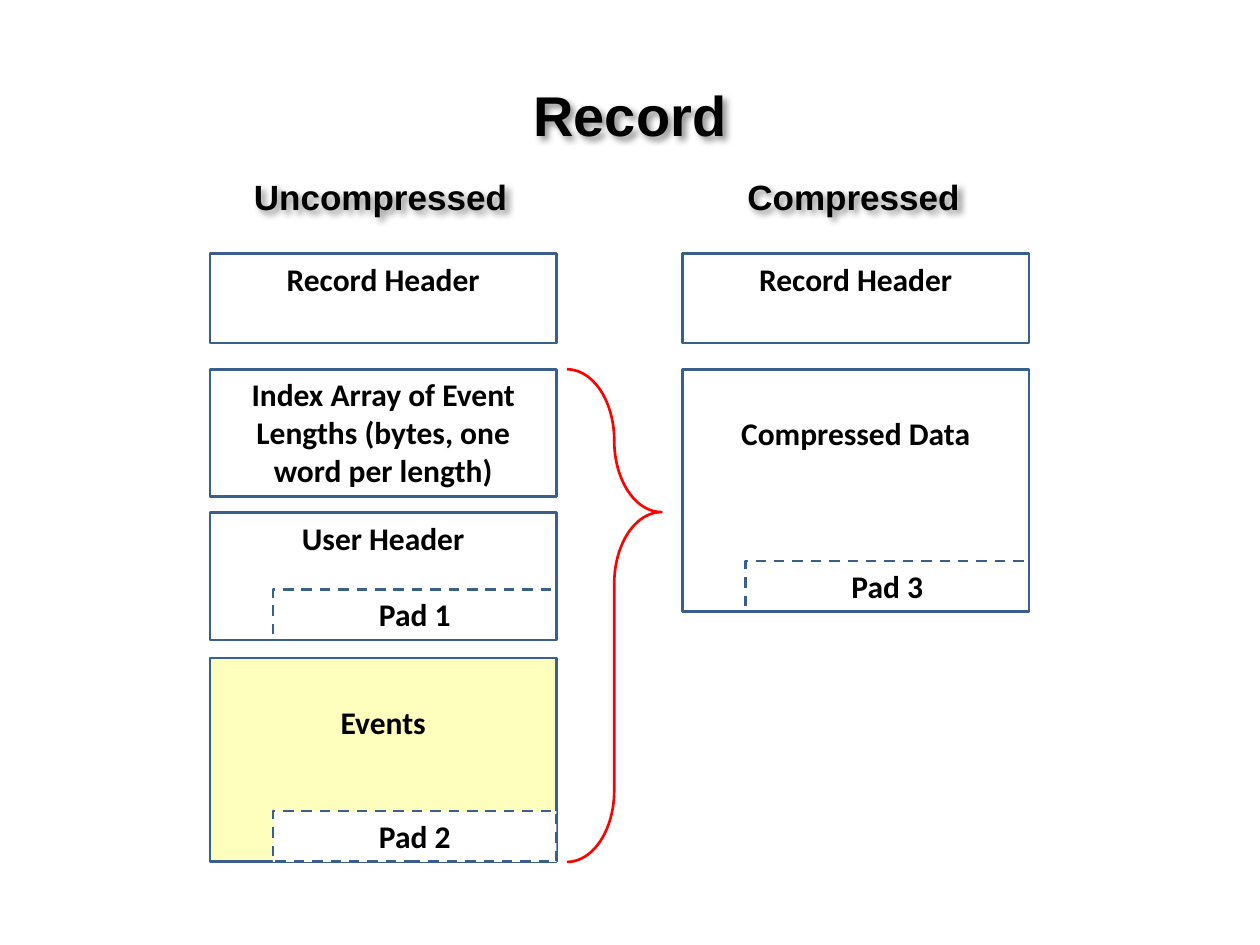
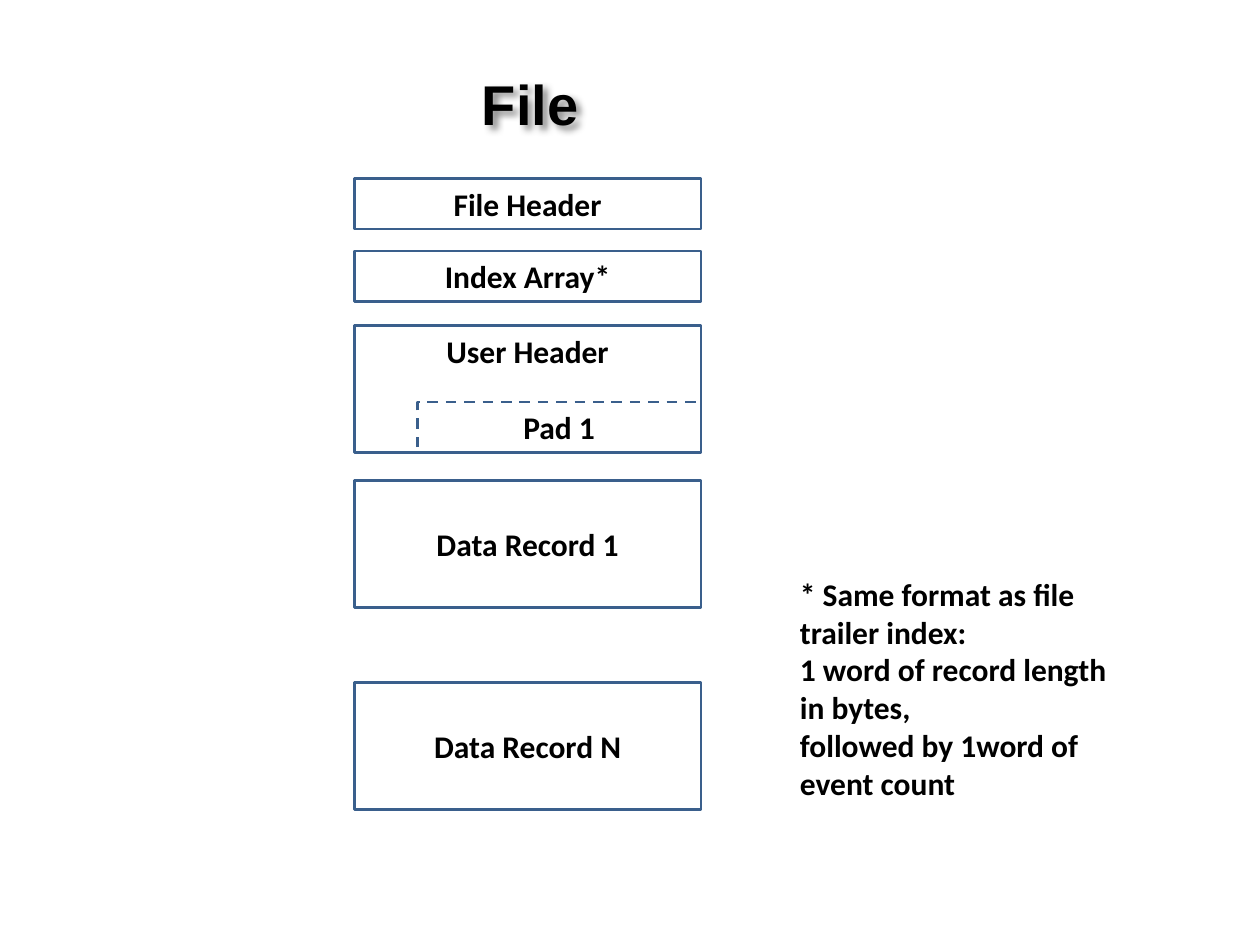
from lxml.etree import SubElement
from pptx import Presentation
from pptx.dml.color import RGBColor
from pptx.enum.dml import MSO_LINE
from pptx.enum.shapes import MSO_SHAPE
from pptx.enum.text import MSO_ANCHOR, PP_ALIGN
from pptx.oxml.ns import qn
from pptx.util import Pt

COLORS = {"text": "000000", "outline": "3A5F8C", "brace": "FF0000",
          "events": "FFFF00", "white": "FFFFFF", "shadow": "000000"}
FIELD_WIDTH = 198
FIELD_HEIGHT = 72.7
PAD_INDENT = 36
PAD_HEIGHT = 29
INSET = 3.6
LINE_HEIGHT = 22


class RecordDiagram:
    """Draws the record layout diagrams in one shared style."""

    def __init__(self, presentation):
        self.presentation = presentation
        self.slide = None

    def add_slide(self):
        self.slide = self.presentation.slides.add_slide(self.presentation.slide_layouts[6])

    def label(self, shape, text, size=18, font="Calibri", align=PP_ALIGN.CENTER, lowered=False):
        frame = shape.text_frame
        frame_format = {"word_wrap": True, "vertical_anchor": MSO_ANCHOR.TOP,
                        "margin_top": Pt(INSET + LINE_HEIGHT * lowered)}
        for name, value in frame_format.items():
            setattr(frame, name, value)
        font_format = {"size": Pt(size), "name": font, "bold": True}
        lines = [text] if isinstance(text, str) else text
        for index, line in enumerate(lines):
            paragraph = frame.add_paragraph() if index else frame.paragraphs[0]
            paragraph.text = line
            paragraph.alignment = align
            for run in paragraph.runs:
                for name, value in font_format.items():
                    setattr(run.font, name, value)
                run.font.color.rgb = RGBColor.from_string(COLORS["text"])

    def text(self, text, left, top, width, height, **style):
        box = self.slide.shapes.add_textbox(Pt(left), Pt(top), Pt(width), Pt(height))
        self.label(box, text, **style)
        return box

    def heading(self, text, left, top, width, height, size=32, align=PP_ALIGN.CENTER):
        box = self.text(text, left, top, width, height, size=size, font="Arial", align=align)
        effects = SubElement(box.element.spPr, qn("a:effectLst"))
        shadow = SubElement(effects, qn("a:outerShdw"), blurRad=str(Pt(4)), dist=str(Pt(3)),
                            dir="2700000", algn="tl", rotWithShape="0")
        color = SubElement(shadow, qn("a:srgbClr"), val=COLORS["shadow"])
        SubElement(color, qn("a:alpha"), val="43000")

    def outline(self, kind, left, top, width, height, line="outline"):
        shape = self.slide.shapes.add_shape(kind, Pt(left), Pt(top), Pt(width), Pt(height))
        shape.shadow.inherit = False
        shape.fill.background()
        shape.line.color.rgb = RGBColor.from_string(COLORS[line])
        shape.line.width = Pt(1.5)
        return shape

    def paint(self, shape, color, opacity=100):
        shape.fill.solid()
        shape.fill.fore_color.rgb = RGBColor.from_string(COLORS[color])
        if opacity < 100:
            color_element = shape.element.spPr.find(qn("a:solidFill"))[0]
            SubElement(color_element, qn("a:alpha"), val=str(opacity * 1000))

    def field(self, text, left, top, height=FIELD_HEIGHT, lowered=False):
        shape = self.outline(MSO_SHAPE.RECTANGLE, left, top, FIELD_WIDTH, height)
        self.label(shape, text, lowered=lowered)
        return shape

    def pad(self, text, left, field_bottom):
        shape = self.outline(MSO_SHAPE.RECTANGLE, left + PAD_INDENT, field_bottom - PAD_HEIGHT,
                             FIELD_WIDTH - PAD_INDENT, PAD_HEIGHT)
        shape.line.dash_style = MSO_LINE.DASH
        self.label(shape, text)
        return shape

    def brace(self, left, top, width, height, curve, point):
        shape = self.outline(MSO_SHAPE.RIGHT_BRACE, left, top, width, height, "brace")
        shape.adjustments[0] = curve
        shape.adjustments[1] = point


def build_record(diagram):
    """Compare the uncompressed and compressed record layouts."""
    raw_left, packed_left = 120, 390
    header_top, data_top, user_top, events_top = 145, 211, 293, 376
    data_height, events_height = 138.5, 116.5
    events_bottom = events_top + events_height

    diagram.add_slide()
    diagram.heading("Record", 288, 42.5, 144, 46)
    for text, left, width in (("Uncompressed", 138, 162), ("Compressed", 420, 138)):
        diagram.heading(text, left, 96.5, width, 31.5, size=20, align=PP_ALIGN.LEFT)
    for left in (raw_left, packed_left):
        diagram.field("Record Header", left, header_top, 51)

    diagram.field("Index Array of Event Lengths (bytes, one word per length)", raw_left, data_top)
    diagram.field("User Header", raw_left, user_top)
    diagram.pad("Pad 1", raw_left, user_top + FIELD_HEIGHT)
    events = diagram.field("Events", raw_left, events_top, events_height, lowered=True)
    diagram.paint(events, "events", 26)
    diagram.paint(diagram.pad("Pad 2", raw_left, events_bottom), "white")

    diagram.field("Compressed Data", packed_left, data_top, data_height, lowered=True)
    diagram.pad("Pad 3", packed_left, data_top + data_height)
    diagram.brace(324, data_top, 54, events_bottom - data_top, 0.98, 0.29)


def build_file(diagram):
    """Show the sequence of parts in a file."""
    left, user_top = 202.5, 186

    diagram.add_slide()
    diagram.heading("File", 138, 36, 330, 46)
    for text, top in (("File Header", 102), ("Index Array*", 143.5)):
        diagram.field(text, left, top, PAD_HEIGHT)
    diagram.field("User Header", left, user_top)
    diagram.pad("Pad 1", left, user_top + FIELD_HEIGHT)
    for text, top in (("Data Record 1", 274.5), ("Data Record N", 390)):
        diagram.field(text, left, top, lowered=True)
    diagram.text(["* Same format as file trailer index:",
                  "1 word of record length in bytes,\nfollowed by 1word of event count"],
                 450, 325, FIELD_WIDTH, 138, align=PP_ALIGN.LEFT)


def main():
    """Build and save both slides."""
    presentation = Presentation()
    presentation.slide_width = Pt(720)
    presentation.slide_height = Pt(540)
    diagram = RecordDiagram(presentation)
    build_record(diagram)
    build_file(diagram)
    presentation.save("out.pptx")


if __name__ == "__main__":
    main()
